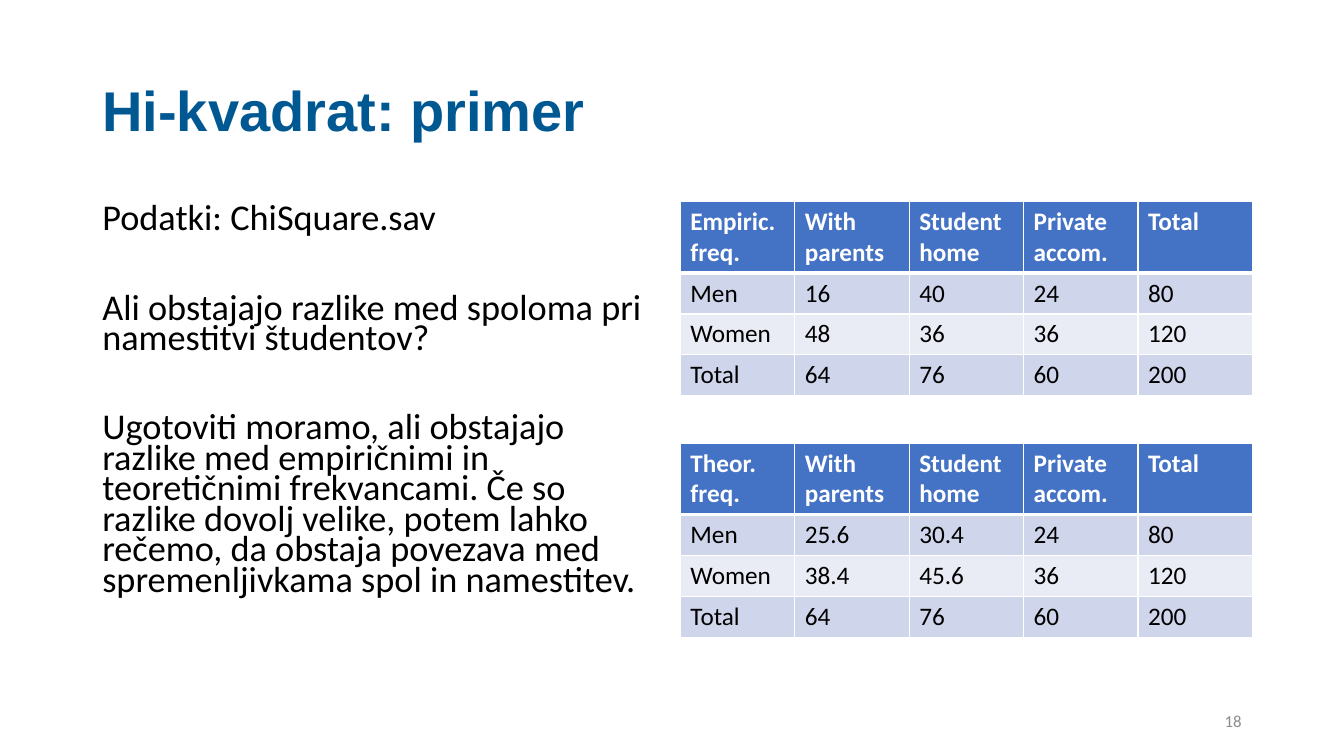
from lxml import etree
from pptx import Presentation
from pptx.dml.color import RGBColor
from pptx.enum.text import MSO_ANCHOR, PP_ALIGN
from pptx.oxml.ns import qn
from pptx.util import Pt

PX = 9525
LEFT, RIGHT = PP_ALIGN.LEFT, PP_ALIGN.RIGHT
MIDDLE = MSO_ANCHOR.MIDDLE
NAVY = RGBColor(0x00, 0x58, 0x92)
BLUE = RGBColor(0x44, 0x72, 0xC4)
DARK = RGBColor(0xCF, 0xD5, 0xEA)
LIGHT = RGBColor(0xE9, 0xEB, 0xF5)
WHITE = RGBColor(0xFF, 0xFF, 0xFF)
BLACK = RGBColor(0x00, 0x00, 0x00)
GRAY = RGBColor(0x8C, 0x8C, 0x8C)

COL, HEAD, ROW = 109, 68, 39
PLACES = ["With parents", "Student home", "Private accom.", "Total"]
TABLES = [
    (192, [["Empiric. freq."] + PLACES,
           ["Men", "16", "40", "24", "80"],
           ["Women", "48", "36", "36", "120"],
           ["Total", "64", "76", "60", "200"]]),
    (422, [["Theor. freq."] + PLACES,
           ["Men", "25.6", "30.4", "24", "80"],
           ["Women", "38.4", "45.6", "36", "120"],
           ["Total", "64", "76", "60", "200"]]),
]
NOTES = [
    "Podatki: ChiSquare.sav",
    "Ali obstajajo razlike med spoloma pri namestitvi študentov?",
    "Ugotoviti moramo, ali obstajajo razlike med empiričnimi in "
    "teoretičnimi frekvancami. Če so razlike dovolj velike, potem lahko "
    "rečemo, da obstaja povezava med spremenljivkama spol in namestitev.",
]


def style(para, name, size, color, bold=False):
    font = para.font
    font.name, font.size, font.bold = name, Pt(size), bold
    font.color.rgb = color


def edge(cell, side, width):
    """Draw a white border on one side of a cell."""
    line = etree.SubElement(cell._tc.get_or_add_tcPr(), qn("a:" + side), w=str(Pt(width)))
    fill = etree.SubElement(line, qn("a:solidFill"))
    etree.SubElement(fill, qn("a:srgbClr"), val=str(WHITE))


deck = Presentation()
deck.slide_width, deck.slide_height = 1280 * PX, 720 * PX
slide = deck.slides.add_slide(deck.slide_layouts[5])
shapes = slide.shapes

title = shapes.title
title.left, title.top = 88 * PX, 38 * PX
title.width, title.height = 1104 * PX, 139 * PX
title.text_frame.text = "Hi-kvadrat: primer"
title.text_frame.vertical_anchor = MIDDLE
para = title.text_frame.paragraphs[0]
para.alignment, para.line_spacing = LEFT, 0.9
style(para, "Arial", 40, NAVY, True)

body = shapes.add_textbox(88 * PX, 192 * PX, 544 * PX, 457 * PX).text_frame
body.word_wrap = True
for i, note in enumerate(NOTES):
    para = body.add_paragraph() if i else body.paragraphs[0]
    para.text = note
    para.line_spacing = 0.7
    if i:
        para.space_before = Pt(42)
    style(para, "Calibri", 25.9, BLACK)

for top, rows in TABLES:
    high = HEAD + ROW * (len(rows) - 1)
    table = shapes.add_table(len(rows), len(rows[0]), 648 * PX, top * PX,
                             COL * len(rows[0]) * PX, high * PX).table
    for col in table.columns:
        col.width = COL * PX
    for r, row in enumerate(rows):
        table.rows[r].height = (ROW if r else HEAD) * PX
        for c, text in enumerate(row):
            cell = table.cell(r, c)
            cell.text = text
            style(cell.text_frame.paragraphs[0], "Calibri", 18,
                  BLACK if r else WHITE, r == 0)
            for side in ("lnL", "lnR", "lnT", "lnB"):
                thick = (r, side) in ((0, "lnB"), (1, "lnT"))
                edge(cell, side, 3 if thick else 1)
            cell.fill.solid()
            cell.fill.fore_color.rgb = (DARK if r % 2 else LIGHT) if r else BLUE

page = shapes.add_textbox(904 * PX, 667 * PX, 288 * PX, 38 * PX).text_frame
page.word_wrap = True
page.vertical_anchor = MIDDLE
page.text = "18"
page.paragraphs[0].alignment = RIGHT
style(page.paragraphs[0], "Calibri", 12, GRAY)

deck.save("out.pptx")
